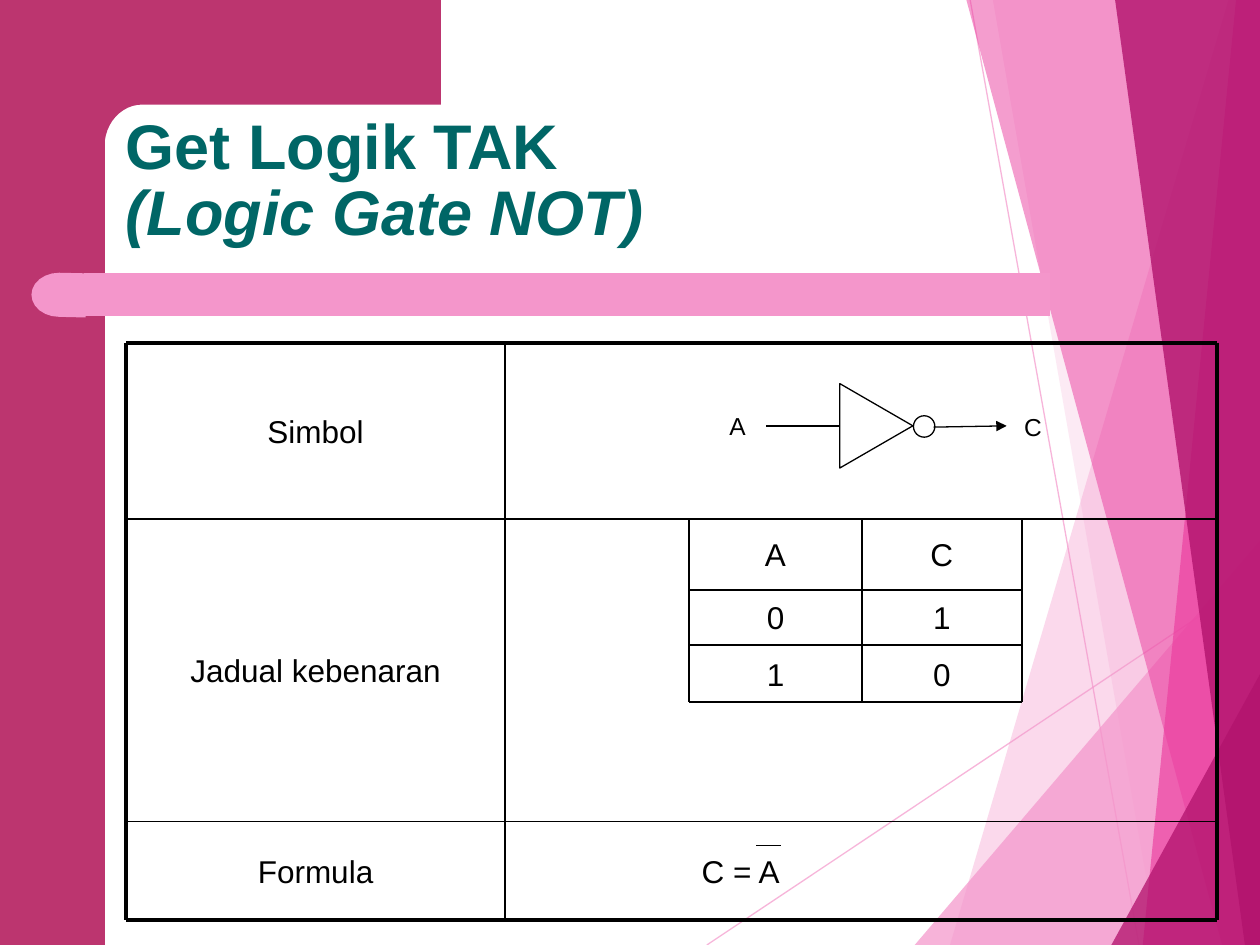
from math import cos, radians, sin

from lxml import etree
from pptx import Presentation
from pptx.dml.color import RGBColor
from pptx.enum.shapes import MSO_CONNECTOR, MSO_SHAPE
from pptx.enum.text import MSO_ANCHOR, PP_ALIGN
from pptx.oxml.ns import qn
from pptx.util import Inches, Pt

STRAIGHT = MSO_CONNECTOR.STRAIGHT
TRIANGLE, CIRCLE = MSO_SHAPE.FLOWCHART_EXTRACT, MSO_SHAPE.OVAL
TOP, MIDDLE = MSO_ANCHOR.TOP, MSO_ANCHOR.MIDDLE
LEFT, CENTER = PP_ALIGN.LEFT, PP_ALIGN.CENTER

BLACK = RGBColor(0x00, 0x00, 0x00)
TEAL = RGBColor(0x00, 0x66, 0x66)
PINK = RGBColor(0xF4, 0x96, 0xCB)
HOT_PINK = RGBColor(0xEB, 0x3D, 0x9F)
MAGENTA = RGBColor(0xB2, 0x13, 0x6D)
ROSE = RGBColor(0xBC, 0x35, 0x6F)
FONT = "Arial"
W, H = 10, 7.5


def arc(cx, cy, rx, ry, start, end, steps=12):
    """Points along an elliptical arc, angles in degrees."""
    angles = [radians(start + (end - start) * i / steps) for i in range(steps + 1)]
    return [(cx + rx * cos(a), cy + ry * sin(a)) for a in angles]


# Background facets: colour, opacity in percent, corner points
FACET_LINES = [((5.61, H), (W, 4.57)), ((7.7, 0), (9.04, H))]
FACETS = [
    (PINK, 36, [(9.75, 0), (7.54, H), (W, H), (W, 0)]),
    (PINK, 20, [(7.88, 0), (9.19, H), (W, H), (W, 0)]),
    (PINK, 72, [(7.26, H), (W, 4.29), (W, H)]),
    (HOT_PINK, 50, [(7.67, 0), (9.7, H), (W, H), (W, 0)]),
    (HOT_PINK, 66, [(9.81, 0), (9.07, H), (W, H), (W, 0)]),
    (MAGENTA, 80, [(8.85, 0), (9.88, H), (W, H), (W, 0)]),
    (MAGENTA, 76, [(8.82, H), (W, 5.35), (W, H)]),
]

# Rose frame and the pink bar under the title
FRAME = [
    (ROSE, 100, [(0, 0), (0.83, 0), (0.83, H), (0, H)]),
    (ROSE, 100, [(0.5, 0), (0.5, 1.28), (0.83, 1.28)]
     + arc(1.13, 1.16, 0.3, 0.33, 180, 270) + [(3.5, 0.83), (3.5, 0)]),
    (PINK, 100, [(0.67, 2.17), (0.67, 2.51), (8.33, 2.51), (8.33, 2.17)]),
    (PINK, 100, [(0.68, 2.17)] + arc(0.47, 2.34, 0.22, 0.175, 270, 90)
     + [(0.68, 2.52)]),
]

TITLE = [("Get Logik TAK", False), ("(Logic Gate NOT)", True)]
ROW_LABELS = ["Simbol", "Jadual kebenaran", "Formula"]
TRUTH = [["A", "C"], ["0", "1"], ["1", "0"]]

# Grid positions of the main table and the truth table inside it
ROWS = [2.72, 4.12, 6.52, 7.3]
X0, X1, X2, X3 = 1, 4.01, 5.47, 9.66
TRUTH_X = [5.47, 6.84, 8.11]
TRUTH_Y = [4.12, 4.68, 5.12, 5.57]
THICK, THIN, FINE = 2.25, 1, 0.75

prs = Presentation()
prs.slide_width, prs.slide_height = Inches(W), Inches(H)
s = prs.slides.add_slide(prs.slide_layouts[6])


def set_alpha(shape, percent):
    color = next(shape._element.spPr.iter(qn("a:srgbClr")))
    etree.SubElement(color, qn("a:alpha")).set("val", str(percent * 1000))


def polygon(color, opacity, points):
    fb = s.shapes.build_freeform(Inches(points[0][0]), Inches(points[0][1]))
    fb.add_line_segments([(Inches(x), Inches(y)) for x, y in points[1:]], close=True)
    sp = fb.convert_to_shape()
    sp.shadow.inherit = False
    sp.fill.solid()
    sp.fill.fore_color.rgb = color
    sp.line.fill.background()
    if opacity < 100:
        set_alpha(sp, opacity)


def line(start, end, width, color=BLACK, opacity=100, arrow=False):
    c = s.shapes.add_connector(STRAIGHT, *[Inches(v) for v in (*start, *end)])
    c.line.color.rgb = color
    c.line.width = Pt(width)
    if opacity < 100:
        set_alpha(c, opacity)
    if arrow:
        etree.SubElement(c.line._get_or_add_ln(), qn("a:tailEnd")).set("type", "triangle")
    etree.SubElement(c._element.spPr, qn("a:effectLst"))


def outline(kind, x, y, w, h, rotation=0):
    sp = s.shapes.add_shape(kind, Inches(x), Inches(y), Inches(w), Inches(h))
    sp.rotation = rotation
    sp.shadow.inherit = False
    sp.fill.background()
    sp.line.color.rgb = BLACK
    sp.line.width = Pt(FINE)


def text(lines, x, y, w, h, size=18, color=BLACK, bold=False, align=CENTER,
         anchor=MIDDLE, before=3.6, spacing=None, insets=(0.1, 0.05)):
    """Add a text box; lines is a list of (text, italic)."""
    tf = s.shapes.add_textbox(Inches(x), Inches(y), Inches(w), Inches(h)).text_frame
    tf.word_wrap = True
    tf.vertical_anchor = anchor
    tf.margin_left = tf.margin_right = Inches(insets[0])
    tf.margin_top = tf.margin_bottom = Inches(insets[1])
    for i, (content, italic) in enumerate(lines):
        p = tf.add_paragraph() if i else tf.paragraphs[0]
        p.alignment = align
        p.space_before = Pt(before)
        if spacing:
            p.line_spacing = Pt(spacing)
        r = p.add_run()
        r.text = content
        r.font.name, r.font.size = FONT, Pt(size)
        r.font.bold, r.font.italic = bold, italic
        r.font.color.rgb = color


# Background
for start, end in FACET_LINES:
    line(start, end, FINE, PINK, 70)
for part in FACETS + FRAME:
    polygon(*part)

# Title
text(TITLE, 1, 0.89, 4.96, 1.07, size=36, color=TEAL, bold=True, align=LEFT,
     anchor=TOP, before=0, spacing=37.8, insets=(0, 0.03))

# Table wording
for label, top, bottom in zip(ROW_LABELS, ROWS, ROWS[1:]):
    text([(label, False)], X0, top, X1 - X0, bottom - top)
for values, top, bottom in zip(TRUTH, TRUTH_Y, TRUTH_Y[1:]):
    for value, left, right in zip(values, TRUTH_X, TRUTH_X[1:]):
        text([(value, False)], left, top, right - left, bottom - top)
text([("C = A", False)], X2, ROWS[2], X3 - X2, ROWS[3] - ROWS[2], align=LEFT)
line((6, 6.71), (6.2, 6.71), FINE)  # bar over A

# Main table rules
for y in ROWS:
    outer = y in (ROWS[0], ROWS[-1])
    stops = [X0, X2, X3] if outer else [X0, X1, X2, X3]
    for left, right in zip(stops, stops[1:]):
        line((left, y), (right, y), THICK if outer else THIN)
line((X0, ROWS[0]), (X0, ROWS[-1]), THICK)
for x, width in [(X1, THIN), (X3, THICK)]:
    for top, bottom in zip(ROWS, ROWS[1:]):
        line((x, top), (x, bottom), width)

# Truth table rules
for x in TRUTH_X:
    line((x, TRUTH_Y[0]), (x, TRUTH_Y[-1]), THIN)
for y in TRUTH_Y[1:]:
    line((TRUTH_X[0], y), (TRUTH_X[-1], y), THIN)

# NOT gate symbol
outline(TRIANGLE, 6.62, 3.09, 0.67, 0.58, rotation=90)
outline(CIRCLE, 7.25, 3.3, 0.17, 0.17)
line((6.66, 3.38), (6.08, 3.38), FINE)
line((7.41, 3.39), (7.99, 3.38), FINE, arrow=True)
for name, x, y in [("A", 5.69, 3.21), ("C", 8.03, 3.22)]:
    text([(name, False)], x, y, 0.42, 0.33, size=14, align=LEFT, anchor=TOP, before=0)

prs.save("out.pptx")
